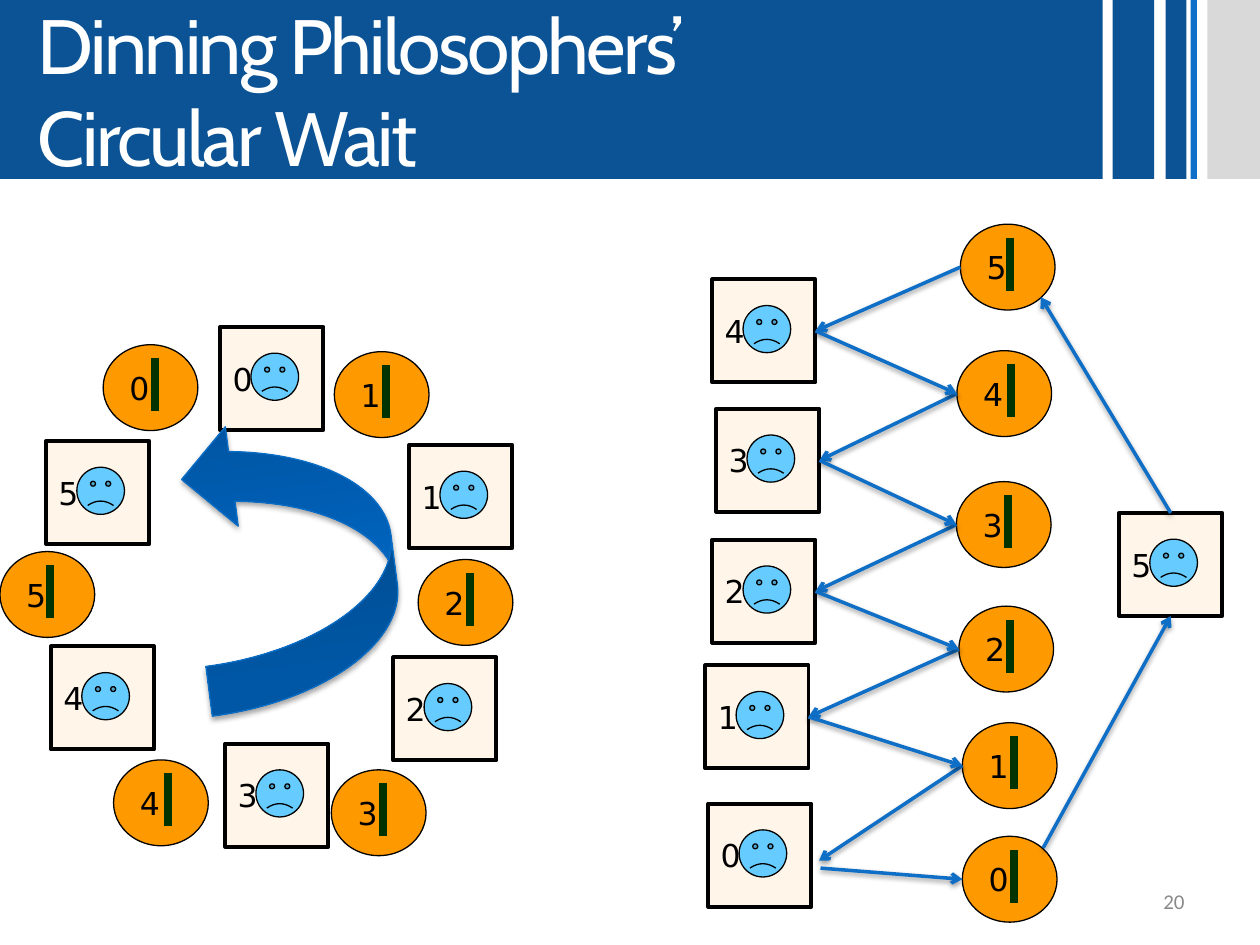
from dataclasses import dataclass
from typing import Any, NamedTuple

from lxml import etree
from pptx import Presentation
from pptx import util as u
from pptx.dml.color import RGBColor
from pptx.enum import shapes, text
from pptx.oxml.ns import qn

COLORS = {
    "banner": "0B5394", "accent": "0F6FC6", "edge": "D9D9D9", "white": "FFFFFF",
    "number": "898989", "seat": "FFF6E9", "face": "66CCFF", "fork": "FF9900",
    "stick": "003300", "ink": "000000", "turn_dark": "00539F",
    "turn_light": "006DCF", "turn_line": "0A6DC6",
}
BANNER_HEIGHT = 3.61
SEAT_SIZE = 2.08
FORK_WIDTH, FORK_HEIGHT = 1.91, 1.73


class Point(NamedTuple):
    x: float
    y: float


class Joint(NamedTuple):
    seat: Any
    site: int


@dataclass(frozen=True)
class Philosopher:
    number: int
    x: float
    y: float


@dataclass(frozen=True)
class Fork:
    number: int
    x: float
    y: float
    stick: float = 1.04

    @property
    def left_side(self) -> Point:
        return Point(self.x, self.y + FORK_HEIGHT / 2)


RING_SEATS = [
    Philosopher(5, 0.93, 8.89), Philosopher(0, 4.44, 6.59),
    Philosopher(3, 4.54, 14.99), Philosopher(2, 7.93, 13.25),
    Philosopher(1, 8.25, 8.97), Philosopher(4, 1.03, 13.03),
]
RING_FORKS = [
    Fork(2, 8.43, 11.28), Fork(3, 6.68, 15.52), Fork(4, 2.29, 15.32, 1.09),
    Fork(5, 0, 11.12, 1.0), Fork(0, 2.08, 6.95), Fork(1, 6.74, 7.09),
]
CHAIN_SEATS = [
    Philosopher(5, 22.56, 10.34), Philosopher(0, 14.28, 16.2),
    Philosopher(3, 14.44, 8.24), Philosopher(2, 14.36, 10.88),
    Philosopher(1, 14.22, 13.41), Philosopher(4, 14.36, 5.63),
]
CHAIN_FORKS = [
    Fork(2, 19.33, 12.22), Fork(3, 19.28, 9.71), Fork(4, 19.29, 7.07, 1.09),
    Fork(5, 19.36, 4.52, 1.0), Fork(0, 19.4, 16.86), Fork(1, 19.4, 14.57),
]


def rgb(name: str) -> RGBColor:
    return RGBColor.from_string(COLORS[name])


def set_shadow(shape: Any, alpha: int = 0, distance: float = 0) -> None:
    effects = etree.SubElement(shape._element.spPr, qn("a:effectLst"))
    if alpha:
        shadow = etree.SubElement(
            effects, qn("a:outerShdw"), blurRad=str(u.Pt(3.1)),
            dist=str(u.Pt(distance)), dir="5400000", rotWithShape="0")
        color = etree.SubElement(shadow, qn("a:srgbClr"), val=COLORS["ink"])
        etree.SubElement(color, qn("a:alpha"), val=str(alpha * 1000))


def write(shape: Any, words: str, *, size: float = 18, font: str = "DejaVu Sans",
          color: str = "ink", align: Any = text.PP_ALIGN.LEFT, wrap: bool = False,
          left_inset: float = 0.25, spacing: float = 0) -> None:
    frame = shape.text_frame
    frame.word_wrap = wrap
    frame.vertical_anchor = text.MSO_ANCHOR.MIDDLE
    frame.margin_left = u.Cm(left_inset)
    paragraph = frame.paragraphs[0]
    paragraph.text = words
    paragraph.alignment = align
    for run in paragraph.runs:
        run.font.size = u.Pt(size)
        run.font.name = font
        run.font.color.rgb = rgb(color)
        if spacing:
            run._r.get_or_add_rPr().set("spc", str(int(spacing * 100)))


def draw(parent: Any, kind: Any, x: float, y: float, width: float, height: float,
         fill: str, line_width: float = 0) -> Any:
    shape = parent.add_shape(kind, u.Cm(x), u.Cm(y), u.Cm(width), u.Cm(height))
    shape.shadow.inherit = False
    shape.fill.solid()
    shape.fill.fore_color.rgb = rgb(fill)
    if line_width:
        shape.line.color.rgb = rgb("ink")
        shape.line.width = u.Pt(line_width)
    else:
        shape.line.fill.background()
    return shape


def draw_line(parent: Any, start: Point, end: Point, color: str, width: float) -> Any:
    line = parent.add_connector(shapes.MSO_CONNECTOR.STRAIGHT, u.Cm(start.x),
                                u.Cm(start.y), u.Cm(end.x), u.Cm(end.y))
    line.line.color.rgb = rgb(color)
    line.line.width = u.Pt(width)
    return line


def draw_philosopher(parent: Any, who: Philosopher) -> Any:
    group = parent.add_group_shape().shapes
    seat = draw(group, shapes.MSO_SHAPE.RECTANGLE, who.x, who.y,
                SEAT_SIZE, SEAT_SIZE, "seat", 2.25)
    write(seat, str(who.number))
    face = draw(group, shapes.MSO_SHAPE.SMILEY_FACE, who.x + 0.62, who.y + 0.53,
                0.96, 0.95, "face", 0.75)
    face.adjustments[0] = -0.047
    return seat


def draw_fork(parent: Any, fork: Fork) -> None:
    group = parent.add_group_shape().shapes
    plate = draw(group, shapes.MSO_SHAPE.OVAL, fork.x, fork.y,
                 FORK_WIDTH, FORK_HEIGHT, "fork", 0.75)
    write(plate, str(fork.number))
    x = fork.x + fork.stick
    stick = draw_line(group, Point(x, fork.y + 1.34), Point(x, fork.y + 0.27),
                      "stick", 4.5)
    set_shadow(stick)


def draw_wait(parent: Any, start: Point | Joint, end: Point | Joint) -> None:
    ends = [spot if isinstance(spot, Point) else Point(0, 0) for spot in (start, end)]
    arrow = draw_line(parent, *ends, "accent", 2)
    if isinstance(start, Joint):
        arrow.begin_connect(start.seat, start.site)
    if isinstance(end, Joint):
        arrow.end_connect(end.seat, end.site)
    etree.SubElement(arrow.line._get_or_add_ln(), qn("a:tailEnd"), type="arrow")
    set_shadow(arrow, 38, 1.6)


def draw_turn(parent: Any) -> None:
    turn = parent.add_shape(shapes.MSO_SHAPE.CURVED_LEFT_ARROW,
                            u.Cm(3.89), u.Cm(8.38), u.Cm(4.04), u.Cm(5.82))
    turn.rotation = 172.6
    turn._element.spPr.find(qn("a:xfrm")).set("flipH", "1")
    turn.fill.gradient()
    turn.fill.gradient_angle = 90
    for stop, color, position in zip(turn.fill.gradient_stops,
                                     ("turn_dark", "turn_light"), (0, 0.85)):
        stop.color.rgb = rgb(color)
        stop.position = position
    turn.line.color.rgb = rgb("turn_line")
    turn.line.width = u.Pt(0.75)
    set_shadow(turn, 35, 1.8)


def draw_banner(parent: Any) -> None:
    for x, width, color in ((22.43, 0.84, "banner"), (23.5, 0.42, "banner"),
                            (24.0, 0.13, "accent"), (24.34, 1.06, "edge")):
        draw(parent, shapes.MSO_SHAPE.RECTANGLE, x, 0, width, BANNER_HEIGHT, color)
    title = draw(parent, shapes.MSO_SHAPE.RECTANGLE, 0, 0, 22.23, BANNER_HEIGHT, "banner")
    write(title, "Dinning Philosophers’ \vCircular Wait", size=44, font="Cabin",
          color="white", wrap=True, left_inset=0.76, spacing=-1.5)


def main() -> None:
    deck = Presentation()
    deck.slide_width, deck.slide_height = u.Cm(25.4), u.Cm(19.05)
    canvas = deck.slides.add_slide(deck.slide_layouts[6]).shapes
    draw_banner(canvas)
    page = canvas.add_textbox(u.Cm(18.21), u.Cm(17.65), u.Cm(5.92), u.Cm(1.02))
    write(page, "20", size=12, font="Calibri", color="number",
          align=text.PP_ALIGN.RIGHT, wrap=True)

    for who in RING_SEATS:
        draw_philosopher(canvas, who)
    for fork in RING_FORKS:
        draw_fork(canvas, fork)
    draw_turn(canvas)

    seats = {who.number: draw_philosopher(canvas, who) for who in CHAIN_SEATS}
    for fork in CHAIN_FORKS:
        draw_fork(canvas, fork)
    fork_sides = {fork.number: fork.left_side for fork in CHAIN_FORKS}
    draw_wait(canvas, fork_sides[1], Point(16.51, 17.35))
    draw_wait(canvas, Point(16.54, 17.5), fork_sides[0])
    for number in range(1, 5):
        right_side = Joint(seats[number], 3)
        draw_wait(canvas, fork_sides[number + 1], right_side)
        draw_wait(canvas, right_side, fork_sides[number])
    draw_wait(canvas, Point(21.03, 17.09), Joint(seats[5], 2))
    draw_wait(canvas, Joint(seats[5], 0), Point(20.98, 5.99))
    deck.save("out.pptx")


if __name__ == "__main__":
    main()
